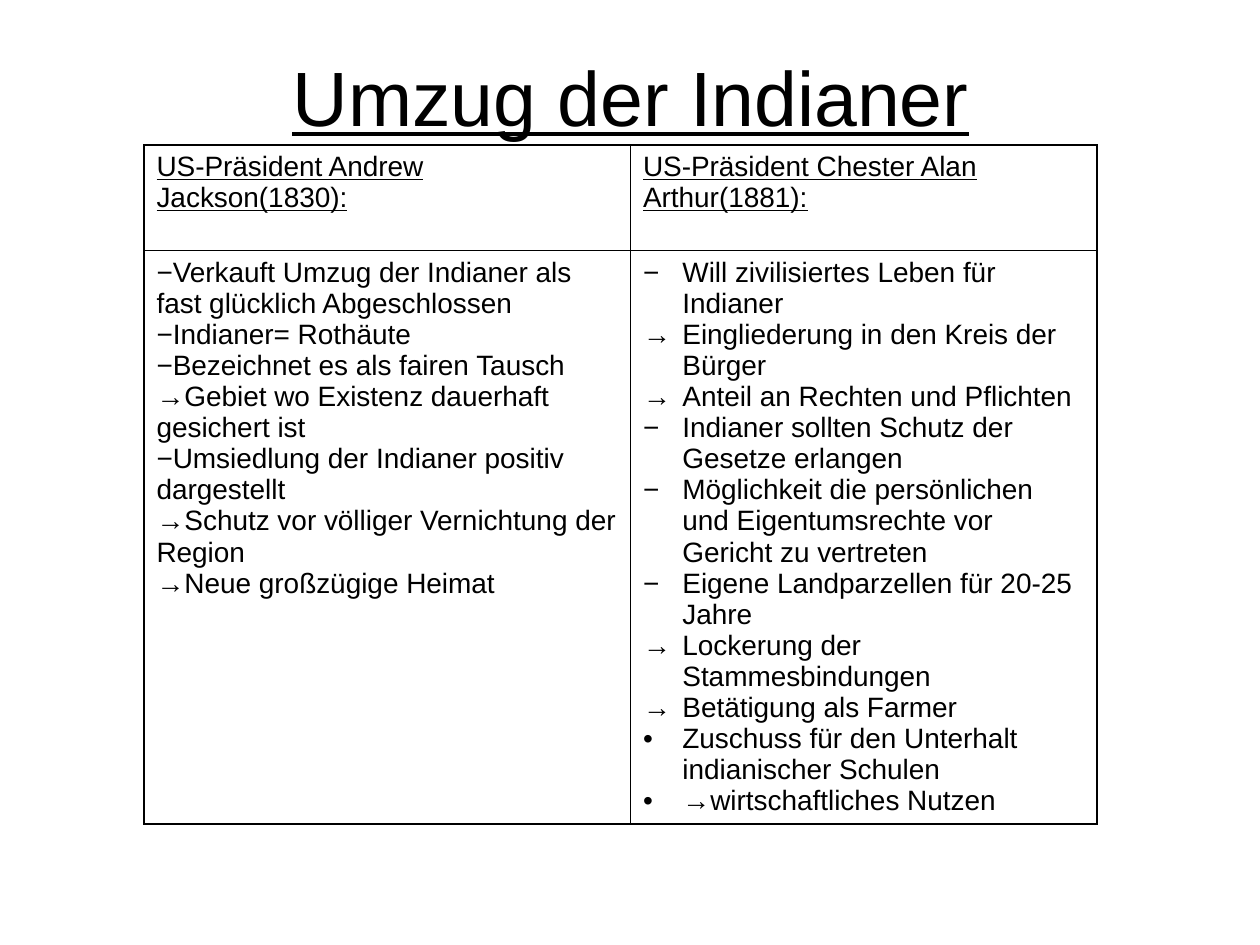
from lxml.etree import SubElement
from pptx import Presentation
from pptx.dml.color import RGBColor
from pptx.enum.text import MSO_ANCHOR, PP_ALIGN
from pptx.oxml.ns import qn
from pptx.util import Pt

HEADINGS = ["US-Präsident Andrew Jackson(1830):", "US-Präsident Chester Alan Arthur(1881):"]
JACKSON = [
    ("−", "Verkauft Umzug der Indianer als fast glücklich Abgeschlossen"),
    ("−", "Indianer= Rothäute"),
    ("−", "Bezeichnet es als fairen Tausch"),
    ("→", "Gebiet wo Existenz dauerhaft gesichert ist"),
    ("−", "Umsiedlung der Indianer positiv dargestellt"),
    ("→", "Schutz vor völliger Vernichtung der Region"),
    ("→", "Neue großzügige Heimat"),
]
ARTHUR = [
    ("−", "Will zivilisiertes Leben für Indianer"),
    ("→", "Eingliederung in den Kreis der Bürger"),
    ("→", "Anteil an Rechten und Pflichten"),
    ("−", "Indianer sollten Schutz der Gesetze erlangen"),
    ("−", "Möglichkeit die persönlichen und Eigentumsrechte vor Gericht zu vertreten"),
    ("−", "Eigene Landparzellen für 20-25 Jahre"),
    ("→", "Lockerung der Stammesbindungen"),
    ("→", "Betätigung als Farmer"),
    ("•", "Zuschuss für den Unterhalt indianischer Schulen"),
    ("•", "→wirtschaftliches Nutzen"),
]


def color(hex_string):
    return RGBColor.from_string(hex_string)


class SlideBuilder:
    """Holds the shared style and the slide being filled."""

    font_name = "Arial"
    ink = "000000"
    title_size = 44
    body_size = 16
    border_width = 1

    def __init__(self, slide):
        self.slide = slide

    def format_runs(self, paragraph, size, underline=False):
        for run in paragraph.runs:
            run.font.name = self.font_name
            run.font.size = Pt(size)
            run.font.underline = underline
            run.font.color.rgb = color(self.ink)

    def title(self, text, left, top, width, height):
        shape = self.slide.shapes.title
        shape.left, shape.top = Pt(left), Pt(top)
        shape.width, shape.height = Pt(width), Pt(height)
        text_frame = shape.text_frame
        text_frame.text = text
        text_frame.vertical_anchor = MSO_ANCHOR.MIDDLE
        paragraph = text_frame.paragraphs[0]
        paragraph.alignment = PP_ALIGN.CENTER
        self.format_runs(paragraph, self.title_size, underline=True)

    def table(self, left, top, widths, heights):
        table = self.slide.shapes.add_table(
            len(heights), len(widths), Pt(left), Pt(top), Pt(sum(widths)), Pt(sum(heights))
        ).table
        table.first_row = table.horz_banding = False
        for column, width in zip(table.columns, widths):
            column.width = Pt(width)
        for row, height in zip(table.rows, heights):
            row.height = Pt(height)
        for cell in table.iter_cells():
            self.borders(cell)
            cell.fill.background()
        return table

    def borders(self, cell):
        properties = cell._tc.get_or_add_tcPr()
        for side in ("a:lnL", "a:lnR", "a:lnT", "a:lnB"):
            line = SubElement(properties, qn(side), w=str(Pt(self.border_width)))
            fill = SubElement(line, qn("a:solidFill"))
            SubElement(fill, qn("a:srgbClr"), val=self.ink)

    def heading(self, cell, text):
        cell.text_frame.text = text
        self.format_runs(cell.text_frame.paragraphs[0], self.body_size, underline=True)

    def bullets(self, cell, items, indent=0):
        """Fill a cell with (bullet character, text) items on a hanging indent."""
        text_frame = cell.text_frame
        text_frame.text = "\n".join(text for _, text in items)
        for paragraph, (character, _) in zip(text_frame.paragraphs, items):
            self.format_runs(paragraph, self.body_size)
            properties = paragraph._p.get_or_add_pPr()
            properties.set("marL", str(Pt(indent)))
            properties.set("indent", str(-Pt(indent)))
            SubElement(properties, qn("a:buFont"), typeface=self.font_name)
            SubElement(properties, qn("a:buChar"), char=character)


def main():
    presentation = Presentation()
    presentation.slide_width, presentation.slide_height = Pt(720), Pt(540)
    title_only = presentation.slide_layouts[5]
    builder = SlideBuilder(presentation.slides.add_slide(title_only))

    builder.title("Umzug der Indianer", 36.5, 9.5, 648, 90)
    table = builder.table(82.25, 82.75, widths=[278, 266.5], heights=[60.5, 327.5])
    for column, text in enumerate(HEADINGS):
        builder.heading(table.cell(0, column), text)
    builder.bullets(table.cell(1, 0), JACKSON)
    builder.bullets(table.cell(1, 1), ARTHUR, indent=22.5)

    presentation.save("out.pptx")


if __name__ == "__main__":
    main()
